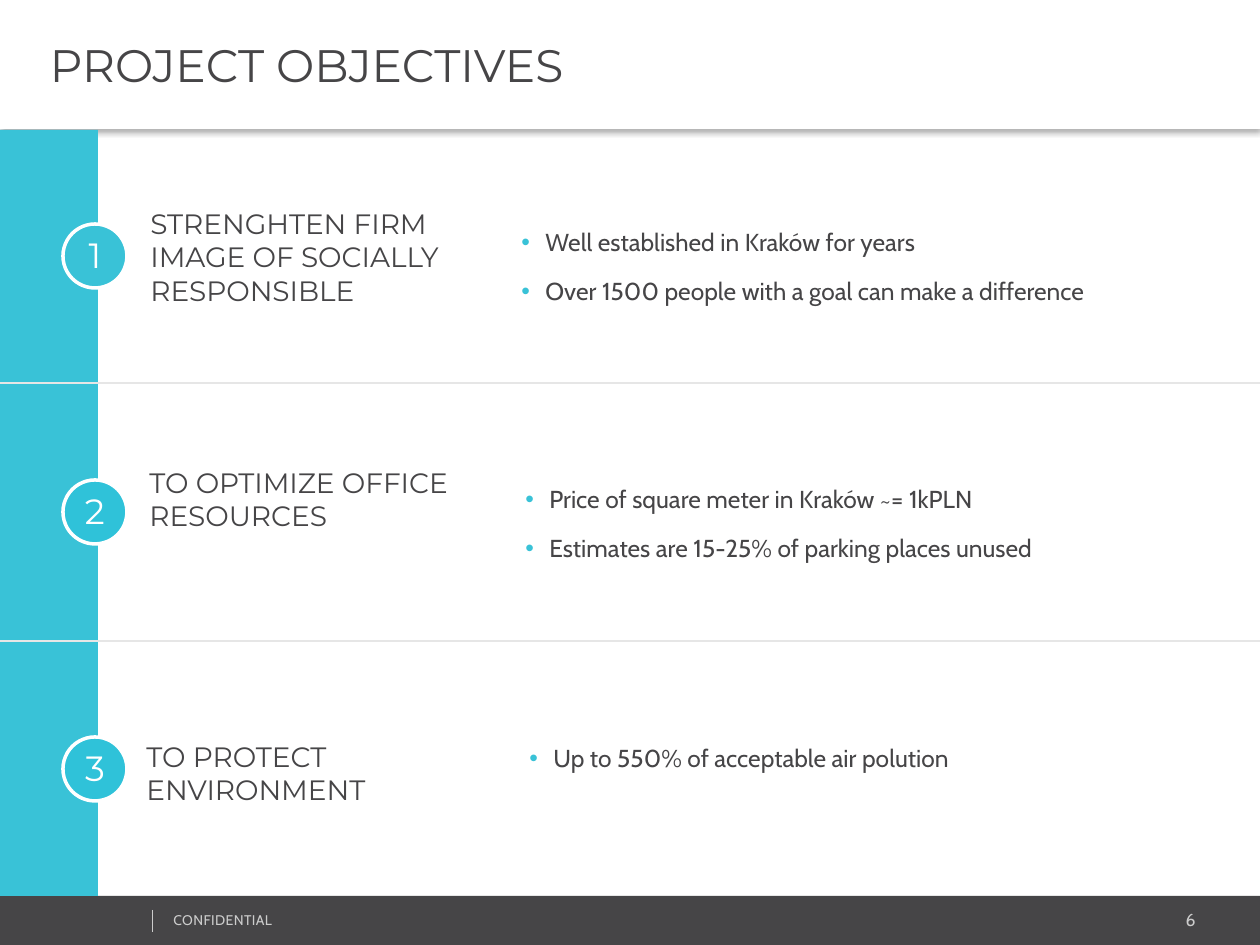
from dataclasses import dataclass

import pptx
import pptx.dml.color
import pptx.enum.shapes
import pptx.enum.text
import pptx.oxml
import pptx.oxml.ns
import pptx.util
from pptx.shapes.base import BaseShape
from pptx.slide import Slide
from pptx.text.text import TextFrame, _Paragraph

RGBColor = pptx.dml.color.RGBColor
MSO_SHAPE = pptx.enum.shapes.MSO_SHAPE
PP_ALIGN = pptx.enum.text.PP_ALIGN
MSO_ANCHOR = pptx.enum.text.MSO_ANCHOR

WHITE = RGBColor(0xFF, 0xFF, 0xFF)
CHARCOAL = RGBColor(0x46, 0x45, 0x47)
TEAL = RGBColor(0x39, 0xC2, 0xD7)
BRIGHT_TEAL = RGBColor(0x2F, 0xC2, 0xD9)
RULE_GRAY = RGBColor(0xE6, 0xE6, 0xE6)
FOOTER_GRAY = RGBColor(0xCC, 0xCC, 0xCC)
HEADING_FONT = "Montserrat"
BODY_FONT = "Cabin"

PX_PER_INCH = 126
SLIDE_W, SLIDE_H = 1260, 945
HEADER_H = 129
FOOTER_TOP = 896
BADGE_LEFT, BADGE_SIZE = 63, 64
DETAIL_RIGHT = 1191
BULLET_INDENT = 24


@dataclass(frozen=True)
class Box:
    left: int
    top: int
    width: int
    height: int


@dataclass(frozen=True)
class TextStyle:
    font: str
    size: int
    color: RGBColor


@dataclass(frozen=True)
class Objective:
    number: str
    heading: str
    details: tuple[str, ...]
    badge_top: int
    badge_color: RGBColor
    heading_box: Box
    detail_box: Box


TITLE = TextStyle(HEADING_FONT, 26, CHARCOAL)
HEADING = TextStyle(HEADING_FONT, 16, CHARCOAL)
BADGE = TextStyle(HEADING_FONT, 20, WHITE)
DETAIL = TextStyle(BODY_FONT, 14, CHARCOAL)
CONFIDENTIAL = TextStyle(BODY_FONT, 8, FOOTER_GRAY)
PAGE_NUMBER = TextStyle(BODY_FONT, 10, FOOTER_GRAY)

OBJECTIVES = (
    Objective(
        "1", "STRENGHTEN FIRM IMAGE OF SOCIALLY RESPONSIBLE",
        ("Well established in Kraków for years",
         "Over 1500 people with a goal can make a difference"),
        224, TEAL, Box(138, 200, 365, 115), Box(509, 166, DETAIL_RIGHT - 509, 195),
    ),
    Objective(
        "2", "TO OPTIMIZE OFFICE RESOURCES",
        ("Price of square meter in Kraków ~= 1kPLN",
         "Estimates are 15-25% of parking places unused"),
        480, BRIGHT_TEAL, Box(137, 459, 326, 115), Box(513, 423, DETAIL_RIGHT - 513, 195),
    ),
    Objective(
        "3", "TO PROTECT ENVIRONMENT",
        ("Up to 550% of acceptable air polution",),
        737, BRIGHT_TEAL, Box(134, 733, 306, 81), Box(517, 682, DETAIL_RIGHT - 517, 146),
    ),
)
DIVIDER_TOPS = (383, 641)


def px(length: int) -> pptx.util.Emu:
    return pptx.util.Emu(round(length * 914400 / PX_PER_INCH))


def place(box: Box) -> tuple[pptx.util.Emu, ...]:
    return px(box.left), px(box.top), px(box.width), px(box.height)


def add_panel(slide: Slide, kind: MSO_SHAPE, box: Box, fill: RGBColor) -> BaseShape:
    panel = slide.shapes.add_shape(kind, *place(box))
    panel.shadow.inherit = False
    panel.fill.solid()
    panel.fill.fore_color.rgb = fill
    panel.line.fill.background()
    return panel


def add_rule(slide: Slide, start: tuple[int, int], end: tuple[int, int],
             color: RGBColor, weight: float) -> None:
    rule = slide.shapes.add_connector(
        pptx.enum.shapes.MSO_CONNECTOR.STRAIGHT, *map(px, start + end))
    rule.line.color.rgb = color
    rule.line.width = pptx.util.Pt(weight)
    rule._element.spPr.append(pptx.oxml.parse_xml(
        f'<a:effectLst {pptx.oxml.ns.nsdecls("a")}/>'))


def write(paragraph: _Paragraph, text: str, style: TextStyle,
          align: PP_ALIGN = PP_ALIGN.LEFT) -> None:
    paragraph.alignment = align
    run = paragraph.add_run()
    run.text = text
    run.font.name = style.font
    run.font.size = pptx.util.Pt(style.size)
    run.font.color.rgb = style.color


def set_insets(frame: TextFrame, left: int, top: int, right: int, bottom: int) -> None:
    frame.margin_left, frame.margin_top = px(left), px(top)
    frame.margin_right, frame.margin_bottom = px(right), px(bottom)


def add_text_frame(slide: Slide, box: Box) -> TextFrame:
    frame = slide.shapes.add_textbox(*place(box)).text_frame
    frame.word_wrap = True
    return frame


def add_bullet(paragraph: _Paragraph) -> None:
    properties = paragraph._p.get_or_add_pPr()
    properties.set("marL", str(px(BULLET_INDENT)))
    properties.set("indent", str(-px(BULLET_INDENT)))
    namespace = pptx.oxml.ns.nsdecls("a")
    for element in (
        f'<a:buClr {namespace}><a:srgbClr val="{TEAL}"/></a:buClr>',
        f'<a:buFont {namespace} typeface="Arial"/>',
        f'<a:buChar {namespace} char="•"/>',
    ):
        properties.append(pptx.oxml.parse_xml(element))


def add_header(slide: Slide) -> None:
    header = add_panel(slide, MSO_SHAPE.RECTANGLE, Box(0, 0, SLIDE_W, HEADER_H), WHITE)
    header._element.spPr.find(pptx.oxml.ns.qn("a:effectLst")).append(pptx.oxml.parse_xml(
        f'<a:outerShdw {pptx.oxml.ns.nsdecls("a")} blurRad="39370" dist="25400" '
        'dir="5400000" algn="t" rotWithShape="0">'
        '<a:srgbClr val="000000"><a:alpha val="30000"/></a:srgbClr></a:outerShdw>'))
    frame = header.text_frame
    frame.vertical_anchor = MSO_ANCHOR.MIDDLE
    set_insets(frame, 50, 6, 13, 6)
    write(frame.paragraphs[0], "PROJECT OBJECTIVES", TITLE)


def add_footer(slide: Slide) -> None:
    add_panel(slide, MSO_SHAPE.RECTANGLE,
              Box(0, FOOTER_TOP, SLIDE_W, SLIDE_H - FOOTER_TOP), CHARCOAL)
    number = add_text_frame(slide, Box(1003, 903, 205, 34))
    write(number.paragraphs[0], "6", PAGE_NUMBER, PP_ALIGN.RIGHT)
    notice = add_text_frame(slide, Box(161, 905, 319, 30)).paragraphs[0]
    write(notice, "CONFIDENTIAL", CONFIDENTIAL)
    notice.runs[0]._r.get_or_add_rPr().set("spc", "20")
    add_rule(slide, (152, 910), (152, 932), FOOTER_GRAY, 0.25)


def add_objective(slide: Slide, objective: Objective) -> None:
    badge = add_panel(slide, MSO_SHAPE.OVAL,
                      Box(BADGE_LEFT, objective.badge_top, BADGE_SIZE, BADGE_SIZE),
                      objective.badge_color)
    badge.line.color.rgb = WHITE
    badge.line.width = pptx.util.Pt(2)
    badge.text_frame.vertical_anchor = MSO_ANCHOR.MIDDLE
    set_insets(badge.text_frame, 0, 4, 0, 6)
    write(badge.text_frame.paragraphs[0], objective.number, BADGE, PP_ALIGN.CENTER)

    heading = add_text_frame(slide, objective.heading_box)
    write(heading.paragraphs[0], objective.heading, HEADING)

    details = add_text_frame(slide, objective.detail_box)
    details.vertical_anchor = MSO_ANCHOR.MIDDLE
    for index, detail in enumerate(objective.details):
        paragraph = details.add_paragraph() if index else details.paragraphs[0]
        add_bullet(paragraph)
        paragraph.line_spacing = 1.2
        paragraph.space_after = pptx.util.Pt(8)
        write(paragraph, detail, DETAIL)


def main() -> None:
    deck = pptx.Presentation()
    deck.slide_width, deck.slide_height = px(SLIDE_W), px(SLIDE_H)
    slide = deck.slides.add_slide(deck.slide_layouts[6])
    add_footer(slide)
    add_header(slide)
    add_panel(slide, MSO_SHAPE.RECTANGLE, Box(0, 130, 98, FOOTER_TOP - 130), TEAL)
    for top in DIVIDER_TOPS:
        add_rule(slide, (SLIDE_W, top), (0, top), RULE_GRAY, 1)
    for objective in OBJECTIVES:
        add_objective(slide, objective)
    deck.save("out.pptx")


if __name__ == "__main__":
    main()
